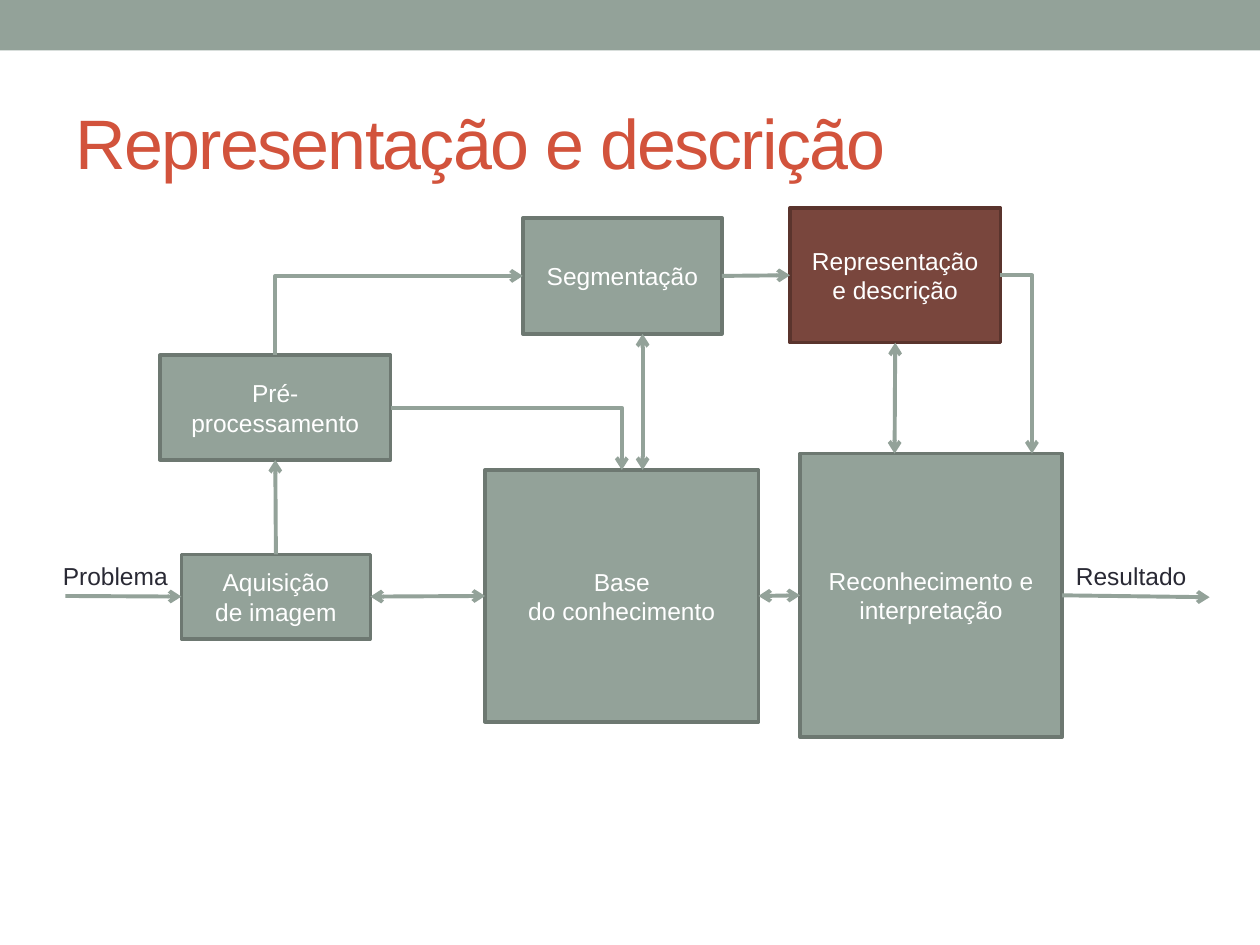
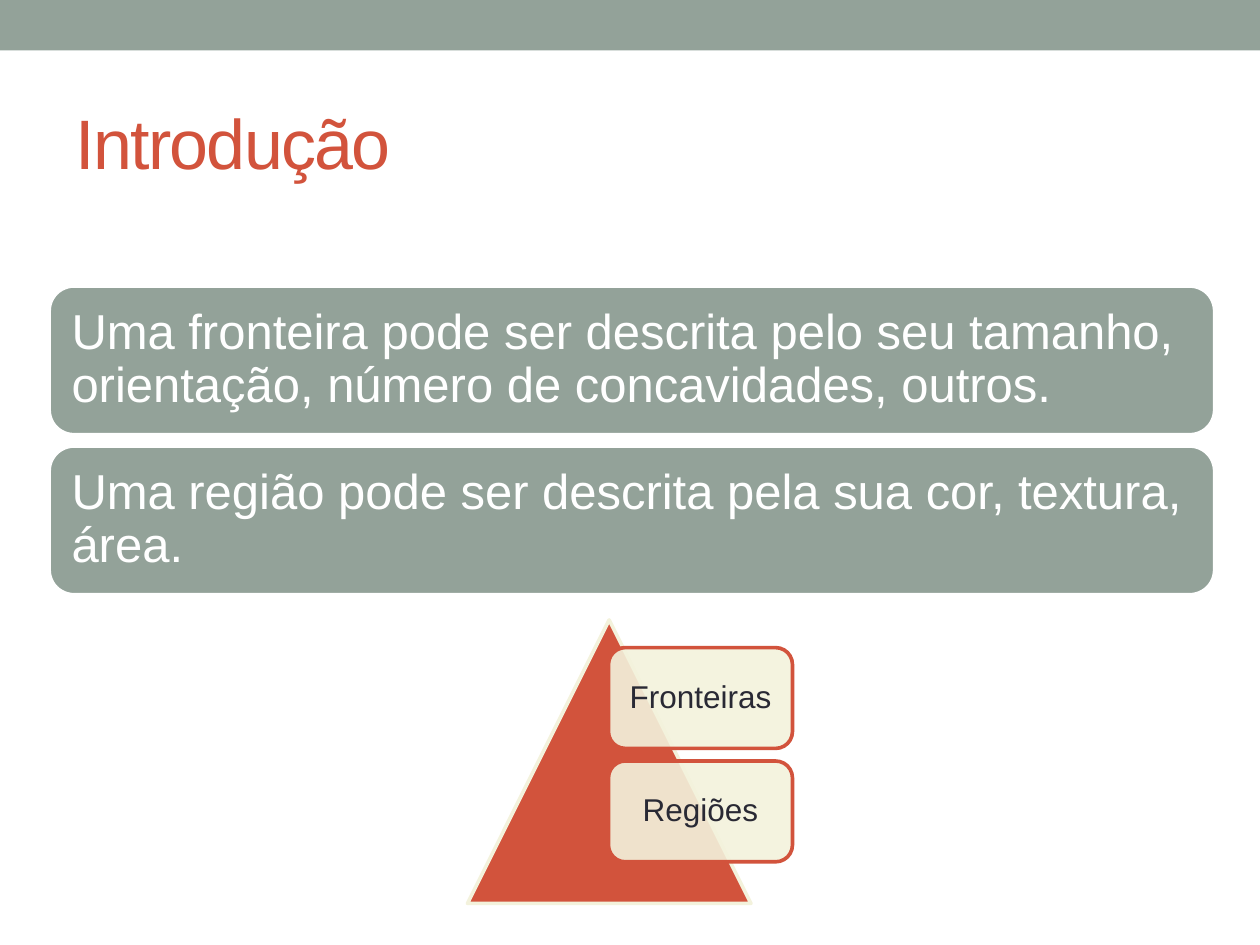
import dataclasses
import typing

import lxml.etree
import pptx
import pptx.dml.color
import pptx.enum.shapes
import pptx.enum.text
import pptx.oxml
import pptx.oxml.ns
import pptx.util

Inches = pptx.util.Inches
Pt = pptx.util.Pt
Preset = pptx.enum.shapes.MSO_SHAPE
Connector = pptx.enum.shapes.MSO_CONNECTOR
Align = pptx.enum.text.PP_ALIGN
Anchor = pptx.enum.text.MSO_ANCHOR

FONT = "Arial"
SAGE, SAGE_EDGE = "93A299", "6D7871"
BROWN, BROWN_EDGE = "79463D", "5A342D"
RED, CREAM, DARK, WHITE = "D2533C", "F3F2DC", "292934", "FFFFFF"
EDGE_WIDTH, ARROW_WIDTH = 2.08, 2.25
TOP, LEFT, BOTTOM, RIGHT = range(4)
TITLE_ONLY = 5


@dataclasses.dataclass(frozen=True)
class Box:
    text: str
    left: float
    top: float
    width: float
    height: float
    fill: str = SAGE
    edge: typing.Optional[str] = SAGE_EDGE
    preset: typing.Any = Preset.RECTANGLE
    size: float = 14
    color: str = WHITE
    align: typing.Any = Align.CENTER
    line_spacing: float = 1.0
    inset: typing.Optional[float] = None
    opacity: int = 100


@dataclasses.dataclass(frozen=True)
class Joint:
    box: str
    side: int


End = typing.Union[Joint, tuple[float, float]]


@dataclasses.dataclass(frozen=True)
class Arrow:
    begin: End
    end: End
    heads: tuple[str, ...] = ("tailEnd",)
    bent: bool = False


STAGES = [
    Box("Aquisição\nde imagem", 1.44, 4.4, 1.5, 0.67),
    Box("Pré-processamento", 1.27, 2.82, 1.83, 0.83),
    Box("Segmentação", 4.15, 1.73, 1.58, 0.92),
    Box("Representação\ne descrição", 6.27, 1.65, 1.67, 1.07, BROWN, BROWN_EDGE),
    Box("Base\ndo conhecimento", 3.85, 3.73, 2.17, 2),
    Box("Reconhecimento e interpretação", 6.35, 3.6, 2.08, 2.25),
]
ACQUISITION, PREPROCESSING, SEGMENTATION, REPRESENTATION, KNOWLEDGE, RECOGNITION = [
    stage.text for stage in STAGES
]
BOTH = ("headEnd", "tailEnd")
ARROWS = [
    Arrow((0.52, 4.73), Joint(ACQUISITION, LEFT)),
    Arrow(Joint(ACQUISITION, RIGHT), Joint(KNOWLEDGE, LEFT), BOTH),
    Arrow(Joint(ACQUISITION, TOP), Joint(PREPROCESSING, BOTTOM)),
    Arrow(Joint(SEGMENTATION, LEFT), Joint(PREPROCESSING, TOP), ("headEnd",), True),
    Arrow(Joint(SEGMENTATION, RIGHT), Joint(REPRESENTATION, LEFT)),
    Arrow(Joint(PREPROCESSING, RIGHT), Joint(KNOWLEDGE, TOP), bent=True),
    Arrow(Joint(KNOWLEDGE, RIGHT), Joint(RECOGNITION, LEFT), BOTH),
    Arrow(Joint(REPRESENTATION, BOTTOM), (7.1, 3.6), BOTH),
    Arrow(Joint(REPRESENTATION, RIGHT), (8.19, 3.6), bent=True),
    Arrow(Joint(RECOGNITION, RIGHT), (9.6, 4.74)),
    Arrow((5.1, 2.65), (5.1, 3.73), BOTH),
]
LABELS = [("Problema", 0.4, 1.04), ("Resultado", 8.44, 1.09)]
STATEMENTS = [
    "Uma fronteira pode ser descrita pelo seu tamanho, orientação, número de concavidades, outros.",
    "Uma região pode ser descrita pela sua cor, textura, área.",
]
CATEGORIES = ["Fronteiras", "Regiões"]


def rgb(color: str) -> pptx.dml.color.RGBColor:
    return pptx.dml.color.RGBColor.from_string(color)


def set_attributes(target: typing.Any, values: dict[str, typing.Any]) -> None:
    for name, value in values.items():
        setattr(target, name, value)


def add_child(parent: typing.Any, tag: str, **attributes: str) -> typing.Any:
    child = lxml.etree.SubElement(parent, pptx.oxml.ns.qn(tag))
    for name, value in attributes.items():
        child.set(name, value)
    return child


def write_text(frame, text: str, size: float, color: str, align=Align.LEFT,
               line_spacing: float = 1.0) -> None:
    frame.text = text
    for paragraph in frame.paragraphs:
        set_attributes(paragraph, {"alignment": align, "line_spacing": line_spacing})
        for run in paragraph.runs:
            set_attributes(run.font, {"name": FONT, "size": Pt(size)})
            run.font.color.rgb = rgb(color)


def draw_box(slide, box: Box):
    shape = slide.shapes.add_shape(
        box.preset, Inches(box.left), Inches(box.top), Inches(box.width), Inches(box.height))
    shape.shadow.inherit = False
    shape.fill.solid()
    shape.fill.fore_color.rgb = rgb(box.fill)
    if box.opacity < 100:
        color = shape.element.spPr.find(".//" + pptx.oxml.ns.qn("a:srgbClr"))
        add_child(color, "a:alpha", val=str(box.opacity * 1000))
    if box.edge:
        shape.line.color.rgb = rgb(box.edge)
        shape.line.width = Pt(EDGE_WIDTH)
    else:
        shape.line.fill.background()
    if box.text:
        frame = shape.text_frame
        set_attributes(frame, {"word_wrap": True, "vertical_anchor": Anchor.MIDDLE})
        if box.inset is not None:
            margins = ("margin_left", "margin_top", "margin_right", "margin_bottom")
            set_attributes(frame, dict.fromkeys(margins, Inches(box.inset)))
        write_text(frame, box.text, box.size, box.color, box.align, box.line_spacing)
    return shape


def draw_label(slide, text: str, left: float, width: float) -> None:
    label = slide.shapes.add_textbox(Inches(left), Inches(4.4), Inches(width), Inches(0.34))
    set_attributes(label.text_frame, {
        "word_wrap": False,
        "auto_size": pptx.enum.text.MSO_AUTO_SIZE.SHAPE_TO_FIT_TEXT,
    })
    write_text(label.text_frame, text, 14, DARK)


def draw_arrow(slide, arrow: Arrow, shapes: dict[str, typing.Any]) -> None:
    kind = Connector.ELBOW if arrow.bent else Connector.STRAIGHT
    points = [(0, 0) if isinstance(end, Joint) else end for end in (arrow.begin, arrow.end)]
    connector = slide.shapes.add_connector(
        kind, *[Inches(value) for point in points for value in point])
    for end, connect in ((arrow.begin, connector.begin_connect),
                         (arrow.end, connector.end_connect)):
        if isinstance(end, Joint):
            connect(shapes[end.box], end.side)
    connector.line.color.rgb = rgb(SAGE)
    connector.line.width = Pt(ARROW_WIDTH)
    properties = connector.element.spPr
    if arrow.bent:
        properties.find(pptx.oxml.ns.qn("a:prstGeom")).set("prst", "bentConnector2")
    line = properties.find(pptx.oxml.ns.qn("a:ln"))
    for head in arrow.heads:
        add_child(line, "a:" + head, type="arrow")
    add_child(properties, "a:effectLst")


def add_titled_slide(presentation, title: str):
    slide = presentation.slides.add_slide(presentation.slide_layouts[TITLE_ONLY])
    placeholder = slide.shapes.title
    set_attributes(placeholder, {
        "left": Inches(0.5), "top": Inches(0.58), "width": Inches(9), "height": Inches(1.08),
    })
    placeholder.text_frame.vertical_anchor = Anchor.MIDDLE
    write_text(placeholder.text_frame, title, 40, RED)
    for run in placeholder.text_frame.paragraphs[0].runs:
        run.font._element.set("spc", "-100")
    return slide


def move_band_to_master(presentation, slide) -> None:
    band = draw_box(slide, Box("", 0, 0, 10, 0.4, edge=None))
    presentation.slide_master.shapes.element.insert(2, band.element)


def build_process_slide(presentation):
    slide = add_titled_slide(presentation, "Representação e descrição")
    shapes = {stage.text: draw_box(slide, stage) for stage in STAGES}
    for label in LABELS:
        draw_label(slide, *label)
    for arrow in ARROWS:
        draw_arrow(slide, arrow, shapes)
    return slide


def build_introduction_slide(presentation) -> None:
    slide = add_titled_slide(presentation, "Introdução")
    for index, statement in enumerate(STATEMENTS):
        draw_box(slide, Box(
            statement, 0.39, 2.27 + 1.27 * index, 9.25, 1.18, SAGE, WHITE,
            Preset.ROUNDED_RECTANGLE, 28, WHITE, Align.LEFT, 0.9, 0.12))
    draw_box(slide, Box("", 3.71, 4.92, 2.25, 2.25, RED, CREAM, Preset.ISOSCELES_TRIANGLE))
    for index, category in enumerate(CATEGORIES):
        draw_box(slide, Box(
            category, 4.83, 5.14 + 0.9 * index, 1.46, 0.8, CREAM, RED,
            Preset.ROUNDED_RECTANGLE, 18, DARK, Align.CENTER, 0.9, 0.07, 90))


def main() -> None:
    presentation = pptx.Presentation()
    set_attributes(presentation, {"slide_width": Inches(10), "slide_height": Inches(7.5)})
    process_slide = build_process_slide(presentation)
    move_band_to_master(presentation, process_slide)
    build_introduction_slide(presentation)
    presentation.save("out.pptx")


if __name__ == "__main__":
    main()
